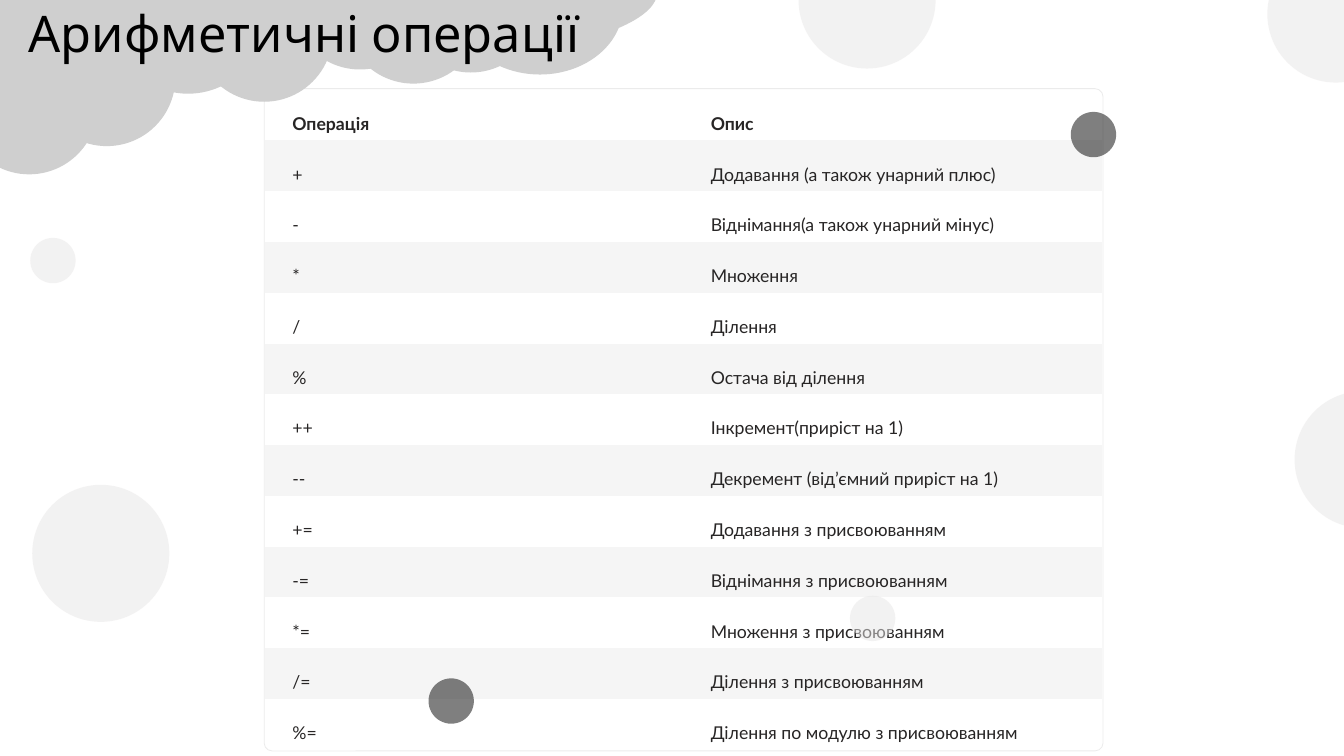
from lxml.etree import SubElement
from pptx import Presentation
from pptx.dml.color import RGBColor
from pptx.enum.shapes import MSO_SHAPE as Shape
from pptx.enum.text import MSO_ANCHOR, MSO_AUTO_SIZE, PP_ALIGN
from pptx.oxml.ns import qn
from pptx.util import Inches, Pt

SLIDE_W, SLIDE_H = 13.33, 7.5
LARGE, SMALL = 1.36, 0.45
INK, BLACK, BAND, PALE, CLOUD = "272525", "000000", "F5F5F5", "E7E6E6", "CFCFCF"

OPERATIONS = [
    ("Операція", "Опис"),
    ("+", "Додавання (а також унарний плюс)"),
    ("-", "Віднімання(а також унарний мінус)"),
    ("*", "Множення"),
    ("/", "Ділення"),
    ("%", "Остача від ділення"),
    ("++", "Інкремент(приріст на 1)"),
    ("--", "Декремент (від’ємний приріст на 1)"),
    ("+=", "Додавання з присвоюванням"),
    ("-=", "Віднімання з присвоюванням"),
    ("*=", "Множення з присвоюванням"),
    ("/=", "Ділення з присвоюванням"),
    ("%=", "Ділення по модулю з присвоюванням"),
]

# left, top, diameter, colour
BUBBLES = [
    (12.57, -0.54, LARGE, PALE),
    (4.25, 6.73, SMALL, BLACK),
    (10.62, 1.11, SMALL, BLACK),
    (8.43, 5.91, SMALL, PALE),
    (0.3, 2.36, SMALL, PALE),
    (0.32, 4.81, LARGE, PALE),
    (12.84, 3.88, LARGE, PALE),
    (7.92, -0.68, LARGE, PALE),
]

# left, top, width; every puff is LARGE high
PUFFS = [
    (1.14, -0.43, 1.45), (1.38, -0.76, 5.14), (-0.39, 0.37, LARGE),
    (0.38, 0.09, LARGE), (-0.12, -0.55, 1.41), (1.94, -0.35, LARGE),
    (2.89, -0.67, LARGE), (4.53, -0.62, 1.65), (3.99, -0.64, LARGE),
    (3.42, -0.53, LARGE),
]


def paint(fill, color, opacity=100):
    """Give a fill a hex colour and an opacity in percent."""
    fill.solid()
    fill.fore_color.rgb = RGBColor.from_string(color)
    if opacity < 100:
        tint = fill._xPr.find(qn("a:solidFill"))[0]
        SubElement(tint, qn("a:alpha"), val=str(opacity * 1000))


def write(paragraph, text, font, size, color, bold=False):
    run = paragraph.add_run()
    run.text = text
    run.font.name, run.font.size, run.font.bold = font, Pt(size), bold
    paint(run.font.fill, color)


def add_circle(slide, left, top, width, height, color, opacity=100):
    circle = slide.shapes.add_shape(
        Shape.OVAL, Inches(left), Inches(top), Inches(width), Inches(height))
    circle.shadow.inherit = False
    paint(circle.fill, color, opacity)
    circle.line.fill.background()


def add_operations(slide, left, top, width, height):
    # Rounded frame
    frame = slide.shapes.add_shape(
        Shape.ROUNDED_RECTANGLE, Inches(left), Inches(top), Inches(width), Inches(height))
    frame.adjustments[0] = 0.012
    frame.shadow.inherit = False
    frame.fill.background()
    paint(frame.line.fill, BLACK, 8)
    frame.line.width = Pt(0.6)

    # Banded rows inside the frame
    inset = 0.01
    table = slide.shapes.add_table(
        len(OPERATIONS), 2, Inches(left + inset), Inches(top + inset),
        Inches(width - 2 * inset), Inches(height - 2 * inset)).table
    table.horz_banding = False
    for row, texts in enumerate(OPERATIONS):
        for column, text in enumerate(texts):
            cell = table.cell(row, column)
            if row % 2:
                paint(cell.fill, BAND)
            else:
                cell.fill.background()
            for side in ("a:lnL", "a:lnR", "a:lnT", "a:lnB"):
                border = cell._tc.tcPr.makeelement(qn(side), {"w": "0"})
                SubElement(border, qn("a:noFill"))
                cell._tc.tcPr.insert_element_before(border, "a:noFill", "a:solidFill")
            cell.margin_left = Inches(0.27)
            cell.margin_top, cell.margin_bottom = Inches(0.16), Inches(0.05)
            paragraph = cell.text_frame.paragraphs[0]
            paragraph.line_spacing = Pt(20.2)
            write(paragraph, text, "Lato", 12.6, INK, bold=row == 0)


def add_bubbles(slide):
    for left, top, size, color in BUBBLES:
        add_circle(slide, left, top, size, size, color, 50)


def add_cloud_title(slide, left, top, width, height):
    # Cloud of overlapping puffs
    for puff_left, puff_top, puff_width in PUFFS:
        add_circle(slide, puff_left, puff_top, puff_width, LARGE, CLOUD)

    # Title in front of the cloud
    title = slide.shapes.title
    title.left, title.top = Inches(left), Inches(top)
    title.width, title.height = Inches(width), Inches(height)
    title.text_frame.auto_size = MSO_AUTO_SIZE.SHAPE_TO_FIT_TEXT
    title.text_frame.vertical_anchor = MSO_ANCHOR.TOP
    paragraph = title.text_frame.paragraphs[0]
    paragraph.alignment = PP_ALIGN.CENTER
    write(paragraph, "Арифметичні операції", "League Spartan", 36, BLACK)
    slide.shapes._spTree.append(title._element)


def main():
    deck = Presentation()
    deck.slide_width, deck.slide_height = Inches(SLIDE_W), Inches(SLIDE_H)
    slide = deck.slides.add_slide(deck.slide_layouts[5])
    add_operations(slide, 2.62, 0.88, 8.32, 6.57)
    add_bubbles(slide)
    add_cloud_title(slide, -2.12, -0.03, 10.27, 0.71)
    deck.save("out.pptx")


if __name__ == "__main__":
    main()
